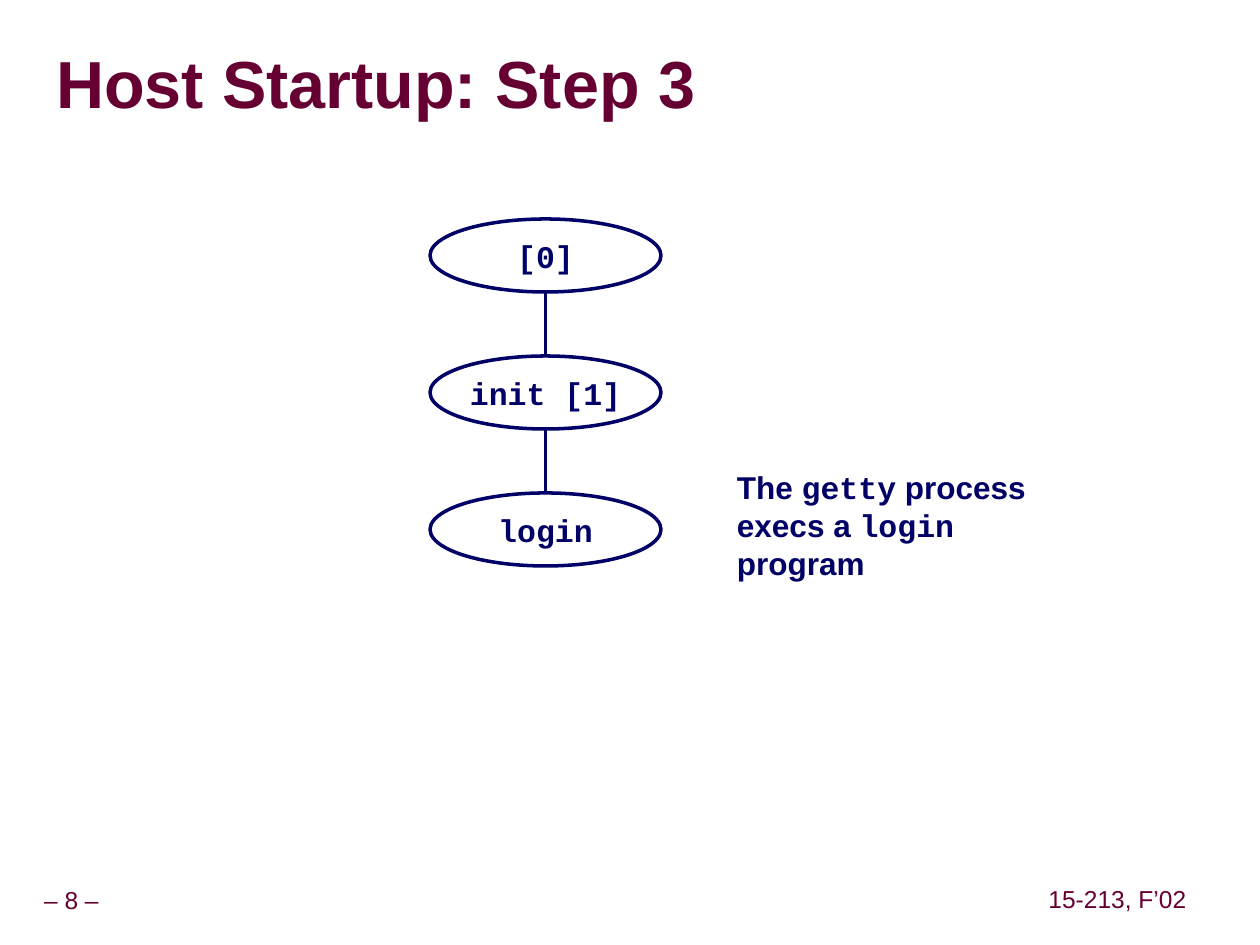
from collections import namedtuple
from dataclasses import dataclass

from lxml.etree import SubElement
from pptx import Presentation
from pptx.dml.color import RGBColor
from pptx.enum.shapes import MSO_CONNECTOR, MSO_SHAPE
from pptx.enum.text import MSO_ANCHOR, PP_ALIGN
from pptx.oxml.ns import qn
from pptx.util import Emu, Pt

Box = namedtuple("Box", "left top width height")


@dataclass(frozen=True)
class Theme:
    maroon: RGBColor = RGBColor(0x66, 0x00, 0x33)
    navy: RGBColor = RGBColor(0x00, 0x00, 0x66)
    white: RGBColor = RGBColor(0xFF, 0xFF, 0xFF)
    sans: str = "Arial"
    mono: str = "Courier New"
    title_size: int = 38
    body_size: int = 18
    footer_size: int = 14
    line_width: int = 2


THEME = Theme()


def px(length):
    return Emu(round(length * 914400 / 126))


def emu_box(box):
    return [px(length) for length in box]


def style_span(span, size, color, name=THEME.sans, bold=True):
    font = span.font
    font.size, font.bold, font.name = Pt(size), bold, name
    font.color.rgb = color


def set_margins(frame, across, down):
    frame.margin_left = frame.margin_right = px(across)
    frame.margin_top = frame.margin_bottom = px(down)


def style_line(line):
    line.color.rgb = THEME.navy
    line.width = Pt(THEME.line_width)


def place_title(page, box, text):
    title = page.shapes.title
    title.left, title.top, title.width, title.height = emu_box(box)
    frame = title.text_frame
    frame.text = text
    frame.vertical_anchor = MSO_ANCHOR.MIDDLE
    set_margins(frame, 0, 0)
    para = frame.paragraphs[0]
    para.alignment = PP_ALIGN.LEFT
    para.line_spacing = 0.87
    style_span(para.runs[0], THEME.title_size, THEME.maroon)


def place_footer(page, box, text):
    frame = page.shapes.add_textbox(*emu_box(box)).text_frame
    frame.text = text
    frame.word_wrap = False
    frame.vertical_anchor = MSO_ANCHOR.MIDDLE
    set_margins(frame, 6, 6)
    para = frame.paragraphs[0]
    para.alignment = PP_ALIGN.CENTER
    para.line_spacing = 0.9
    style_span(para.runs[0], THEME.footer_size, THEME.maroon, bold=False)


def place_process(page, box, name):
    oval = page.shapes.add_shape(MSO_SHAPE.OVAL, *emu_box(box))
    oval.shadow.inherit = False
    oval.fill.solid()
    oval.fill.fore_color.rgb = THEME.white
    style_line(oval.line)
    frame = oval.text_frame
    frame.text = name
    frame.word_wrap = False
    frame.vertical_anchor = MSO_ANCHOR.MIDDLE
    set_margins(frame, 13, 6)
    para = frame.paragraphs[0]
    para.alignment = PP_ALIGN.CENTER
    style_span(para.runs[0], THEME.body_size, THEME.navy, THEME.mono)


def place_link(page, x, top, bottom):
    link = page.shapes.add_connector(
        MSO_CONNECTOR.STRAIGHT, px(x), px(top), px(x), px(bottom))
    style_line(link.line)
    SubElement(link._element.spPr, qn("a:effectLst"))


def place_process_chain(page, box, names, oval_height):
    """Stack the processes evenly in the box, each linked to the one above."""
    pitch = (box.height - oval_height) // (len(names) - 1)
    for index, name in enumerate(names):
        top = box.top + index * pitch
        place_process(page, Box(box.left, top, box.width, oval_height), name)
        if index:
            place_link(page, box.left + box.width / 2,
                       top - pitch + oval_height, top)


def place_note(page, box, parts):
    """Write (text, font name) parts as one paragraph."""
    frame = page.shapes.add_textbox(*emu_box(box)).text_frame
    frame.word_wrap = True
    set_margins(frame, 13, 6)
    para = frame.paragraphs[0]
    for text, name in parts:
        span = para.add_run()
        span.text = text
        style_span(span, THEME.body_size, THEME.navy, name)


def main():
    deck = Presentation()
    deck.slide_width, deck.slide_height = px(1260), px(945)
    page = deck.slides.add_slide(deck.slide_layouts[5])
    place_title(page, Box(56, 34, 1200, 107), "Host Startup: Step 3")
    place_process_chain(page, Box(430, 219, 231, 347),
                        ["[0]", "init [1]", "login"], oval_height=73)
    place_note(page, Box(724, 462, 325, 126), [
        ("The ", THEME.sans), ("getty", THEME.mono),
        (" process execs a ", THEME.sans), ("login", THEME.mono),
        (" program", THEME.sans)])
    place_footer(page, Box(-11, 882, 165, 39), "– 8 –")
    place_footer(page, Box(1042, 881, 151, 39), "15-213, F’02")
    deck.save("out.pptx")


if __name__ == "__main__":
    main()
